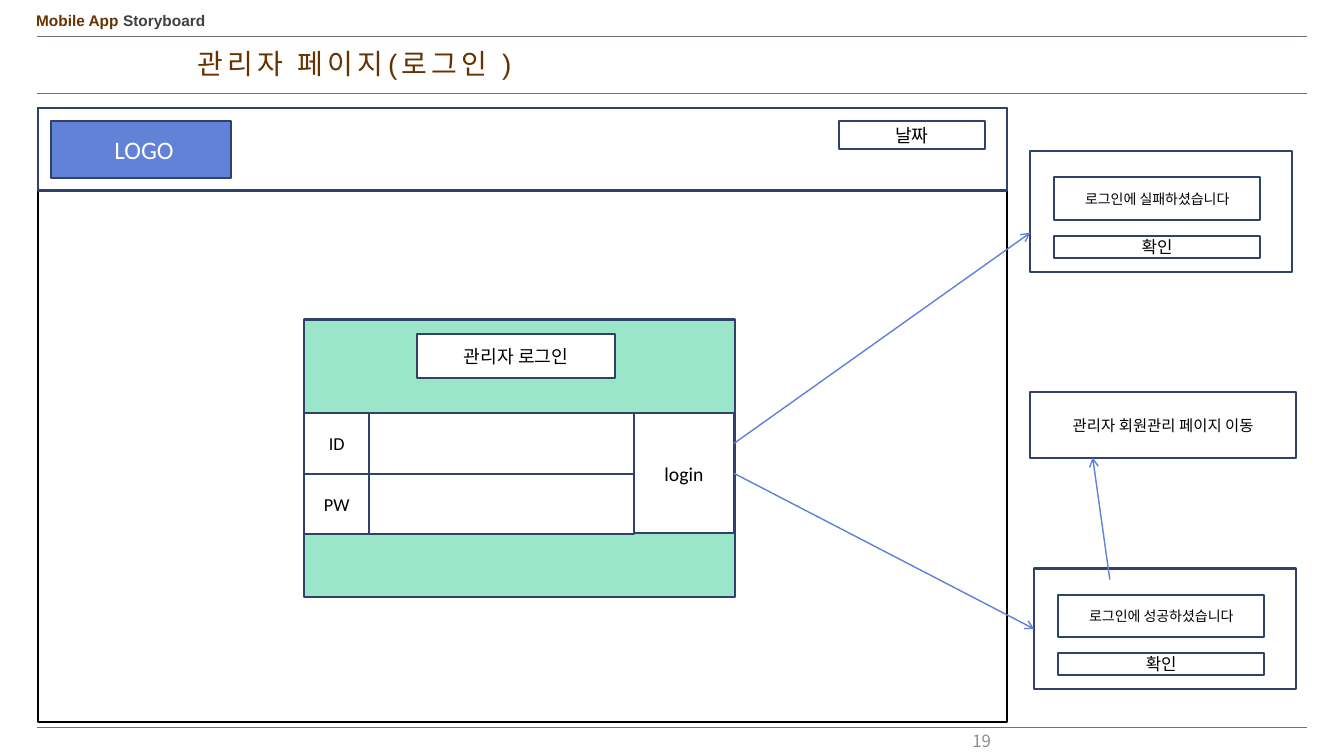
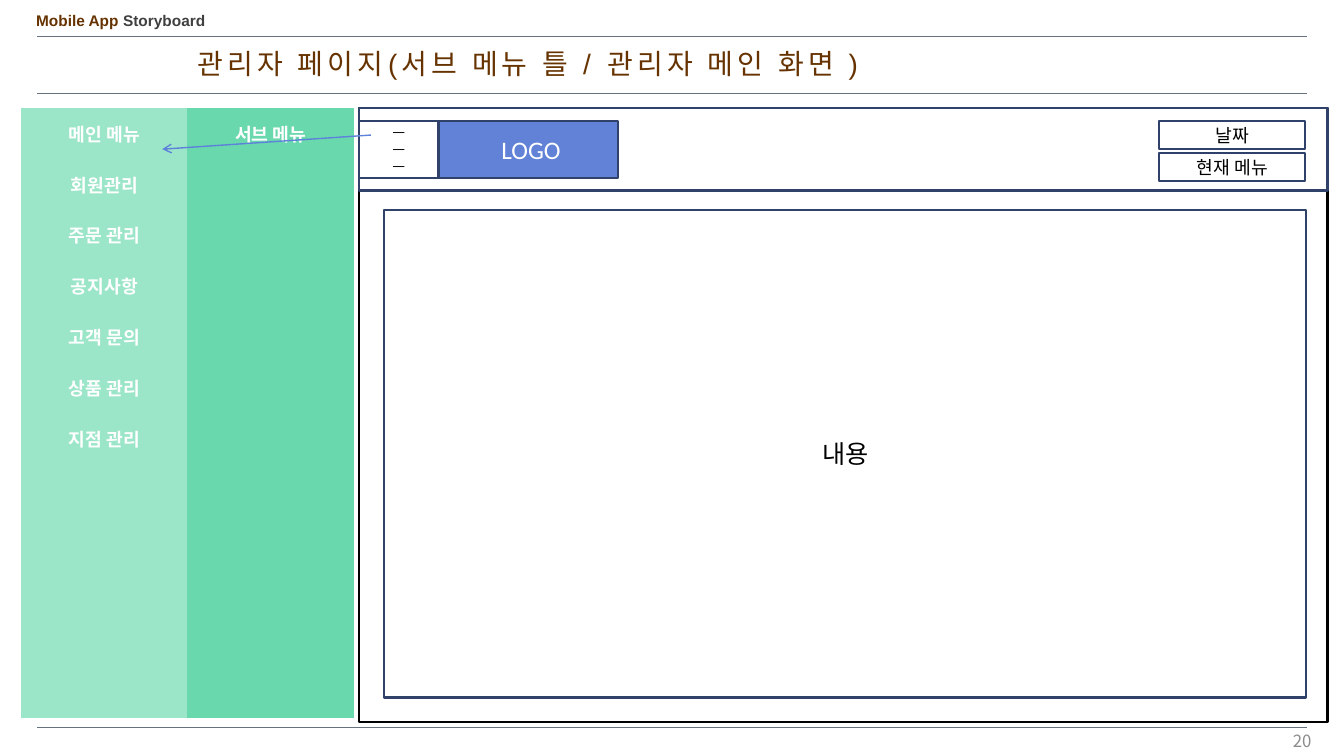
import pptx
import pptx.dml.color
import pptx.enum.shapes
import pptx.enum.text
import pptx.oxml.ns
import pptx.util
import lxml.etree

COLORS = {
    "white": "FFFFFF",
    "black": "000000",
    "outline": "30416A",
    "rule": "68727E",
    "brown": "663300",
    "charcoal": "404040",
    "gray": "8C8C8C",
    "logo": "6182D6",
    "arrow": "5E81D9",
    "mint": "9BE5C8",
    "green": "69D8AD",
}
GRID = pptx.util.Inches(0.1)
SLIDE_COLUMNS, SLIDE_ROWS = 133.33, 75
KOREAN_FONT = "Noto Sans CJK KR"
PLAIN_TABLE = "{2D5ABB26-0587-4C30-8999-92F81FD0307C}"
ALIGN = pptx.enum.text.PP_ALIGN
MIDDLE = pptx.enum.text.MSO_ANCHOR.MIDDLE

FRAME_TOP, FRAME_WIDTH, FRAME_HEIGHT, BANNER_HEIGHT = 10.7, 96.1, 60.9, 8.2
MENU_ROWS, MENU_TOP, MENU_HEIGHT = 12, 10.7, 60.6
MENU_COLUMNS = (3.9, 12.6)
MAIN_MENU = ["메인 메뉴", "회원관리", "주문 관리", "공지사항", "고객 문의", "상품 관리", "지점 관리"]


def cells(*counts):
    return [round(count * GRID) for count in counts]


def rgb(color):
    return pptx.dml.color.RGBColor.from_string(COLORS[color])


def write(frame, text, size=13, color="black", font="Calibri", bold=False,
          align=ALIGN.CENTER, line_spacing=None, space_before=None, tracking=None):
    for index, line in enumerate(text.split("\n")):
        paragraph = frame.add_paragraph() if index else frame.paragraphs[-1]
        paragraph.alignment = align
        if line_spacing:
            paragraph.line_spacing = line_spacing
        if space_before:
            paragraph.space_before = pptx.util.Pt(space_before)
        run = paragraph.add_run()
        run.text = line
        run.font.size = pptx.util.Pt(size)
        run.font.bold = bold
        run.font.name = font
        run.font.color.rgb = rgb(color)
        properties = run.font._element
        east_asian = lxml.etree.SubElement(properties, pptx.oxml.ns.qn("a:ea"))
        east_asian.set("typeface", KOREAN_FONT)
        if tracking:
            properties.set("spc", str(tracking * 100))


def add_label(slide, place, grow=False):
    frame = slide.shapes.add_textbox(*cells(*place)).text_frame
    frame.word_wrap = True
    if grow:
        frame.auto_size = pptx.enum.text.MSO_AUTO_SIZE.SHAPE_TO_FIT_TEXT
    else:
        frame.vertical_anchor = MIDDLE
    return frame


def add_box(slide, place, text="", fill="white", line="outline", **text_format):
    box = slide.shapes.add_shape(pptx.enum.shapes.MSO_SHAPE.RECTANGLE, *cells(*place))
    box.shadow.inherit = False
    box.fill.solid()
    box.fill.fore_color.rgb = rgb(fill)
    box.line.color.rgb = rgb(line)
    box.line.width = pptx.util.Pt(1.5)
    if text:
        box.text_frame.vertical_anchor = MIDDLE
        write(box.text_frame, text, **text_format)
    return box


def add_line(slide, start, end, color, width):
    line = slide.shapes.add_connector(
        pptx.enum.shapes.MSO_CONNECTOR.STRAIGHT, *cells(*start, *end))
    line.line.color.rgb = rgb(color)
    line.line.width = pptx.util.Pt(width)
    lxml.etree.SubElement(line._element.spPr, pptx.oxml.ns.qn("a:effectLst"))
    return line


def add_arrow(slide, start, end):
    arrow = add_line(slide, start, end, "arrow", 1)
    outline = arrow.line._get_or_add_ln()
    lxml.etree.SubElement(outline, pptx.oxml.ns.qn("a:tailEnd")).set("type", "arrow")
    return arrow


def add_page(deck, title, number, number_left):
    slide = deck.slides.add_slide(deck.slide_layouts[6])
    for height in (3.6, 9.2, 72.1):
        add_line(slide, (3.7, height), (129.7, height), "rule", 0.25)
    heading = {"font": "Arial", "align": ALIGN.LEFT}
    header = add_label(slide, (2.6, 1, 35.7, 2.5), grow=True)
    for word, color in (("Mobile App ", "brown"), ("Storyboard", "charcoal")):
        write(header, word, size=11, color=color, bold=True, line_spacing=0.8, **heading)
    write(add_label(slide, (18.6, 4.5, 76.1, 3.9), grow=True), title,
          size=20, color="brown", line_spacing=0.9, tracking=3, **heading)
    write(add_label(slide, (number_left, 71.5, 28.7, 4)), number,
          size=12, color="gray", font=KOREAN_FONT, align=ALIGN.RIGHT)
    return slide


def add_app_frame(slide, left, logo_offset):
    add_box(slide, (left, FRAME_TOP, FRAME_WIDTH, FRAME_HEIGHT), line="black")
    add_box(slide, (left, FRAME_TOP, FRAME_WIDTH, BANNER_HEIGHT))
    add_box(slide, (left + logo_offset, 12, 17.8, 5.7), " LOGO",
            fill="logo", size=18, color="white")
    add_box(slide, (left + 79.4, 12, 14.5, 2.8), "날짜")


def add_dialog(slide, left, top, message):
    dialog = add_box(slide, (left, top, 26, 12))
    add_box(slide, (left + 2.4, top + 8.4, 20.4, 2.2), "확인", size=12)
    add_box(slide, (left + 2.4, top + 2.6, 20.4, 4.2), message, size=10)
    return dialog


def add_menu(slide, left, entries, fill):
    place = cells(left, MENU_TOP, sum(MENU_COLUMNS), MENU_HEIGHT)
    menu = slide.shapes.add_table(MENU_ROWS, len(MENU_COLUMNS), *place).table
    menu.first_row = menu.horz_banding = False
    menu._tbl.tblPr.find(pptx.oxml.ns.qn("a:tableStyleId")).text = PLAIN_TABLE
    for column, width in zip(menu.columns, cells(*MENU_COLUMNS)):
        column.width = width
    for row in range(MENU_ROWS):
        entry = menu.cell(row, 0)
        entry.merge(menu.cell(row, 1))
        entry.vertical_anchor = MIDDLE
        entry.fill.solid()
        entry.fill.fore_color.rgb = rgb(fill)
        if row < len(entries):
            write(entry.text_frame, entries[row], color="white", bold=True,
                  space_before=0 if row else 1)


def build_login(deck):
    slide = add_page(deck, "관리자 페이지(로그인 )", "19", 70.6)
    add_app_frame(slide, 3.8, 1.3)

    add_box(slide, (30.2, 31.7, 42.7, 27.5), fill="mint")
    add_box(slide, (41.4, 33.1, 19.6, 4.4), "관리자 로그인")
    for row, field in enumerate(("ID", "PW")):
        top = 41 + 6 * row
        add_box(slide, (30.2, top, 6.4, 6), field)
        add_box(slide, (36.6, top, 26.3, 6))
    login = add_box(slide, (62.9, 41, 9.9, 11.9), "login", size=14)

    add_dialog(slide, 102.2, 15, "로그인에 실패하셨습니다")
    success = add_dialog(slide, 102.6, 56.4, "로그인에 성공하셨습니다")
    add_box(slide, (102.2, 38.9, 26.4, 6.5), "관리자 회원관리 페이지 이동", size=11)

    add_arrow(slide, (72.8, 44), (102.2, 23.1))
    to_success = add_arrow(slide, (72.8, 47), (102.6, 62.4))
    to_success.begin_connect(login, 3)
    to_success.end_connect(success, 1)
    add_arrow(slide, (110.1, 57.5), (108.4, 45.4))


def build_main_screen(deck):
    slide = add_page(deck, "관리자 페이지(서브 메뉴 틀 / 관리자 메인 화면 )", "20", 102.4)
    add_app_frame(slide, 35.6, 7.9)
    add_menu(slide, 2.1, MAIN_MENU, "mint")
    add_menu(slide, 2.1 + sum(MENU_COLUMNS), ["서브 메뉴"], "green")
    add_box(slide, (35.6, 12, 7.9, 5.7), "ㅡ\nㅡ\nㅡ", size=10)
    add_arrow(slide, (36.8, 13.4), (16.1, 14.8))
    add_box(slide, (38.1, 20.8, 91.5, 48.4), "내용", size=18)
    add_box(slide, (115, 15.2, 14.5, 2.8), "현재 메뉴")


def main():
    deck = pptx.Presentation()
    deck.slide_width, deck.slide_height = cells(SLIDE_COLUMNS, SLIDE_ROWS)
    build_login(deck)
    build_main_screen(deck)
    deck.save("out.pptx")


if __name__ == "__main__":
    main()
